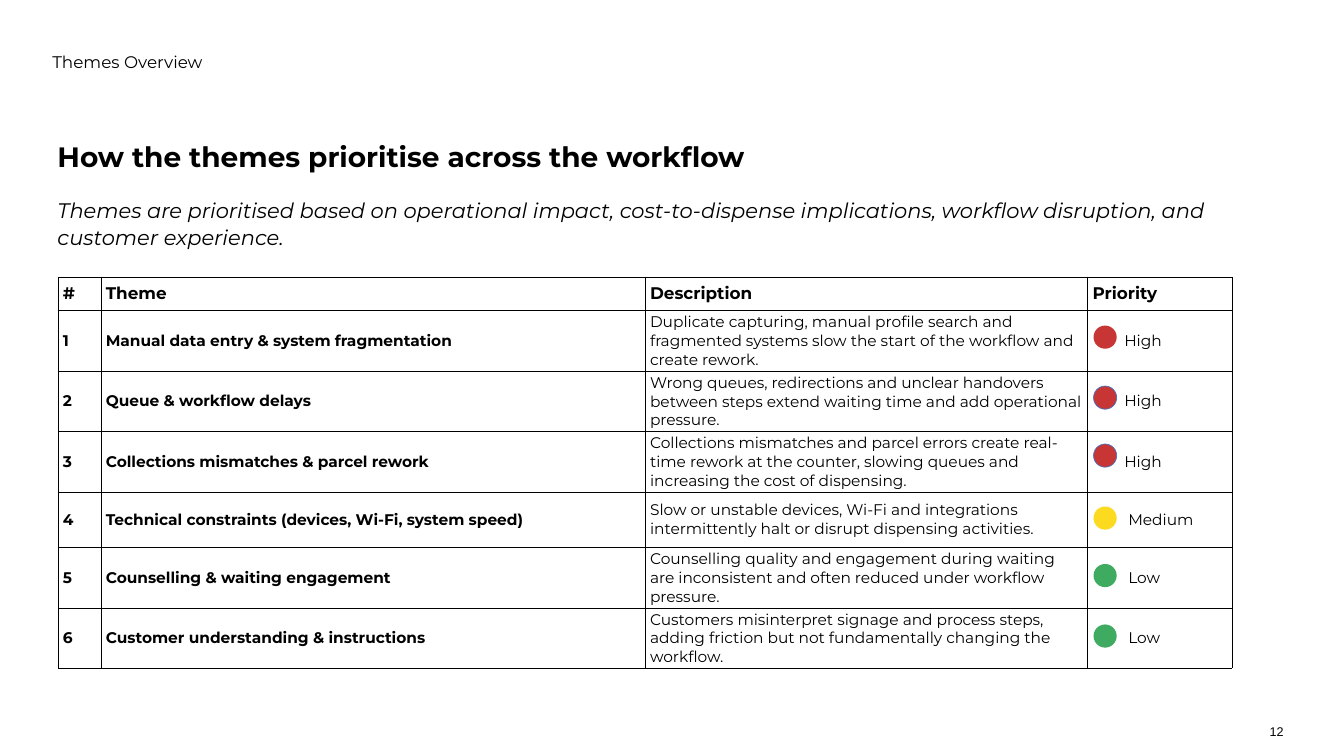
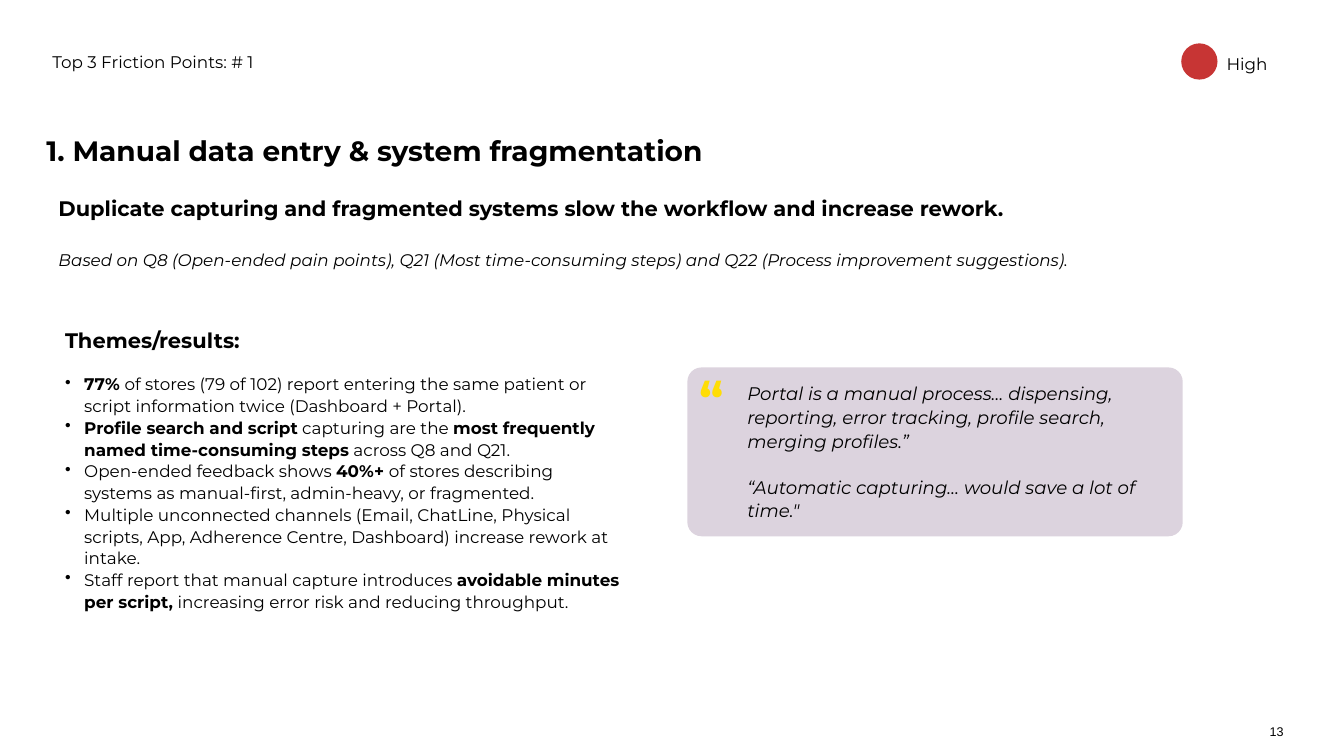
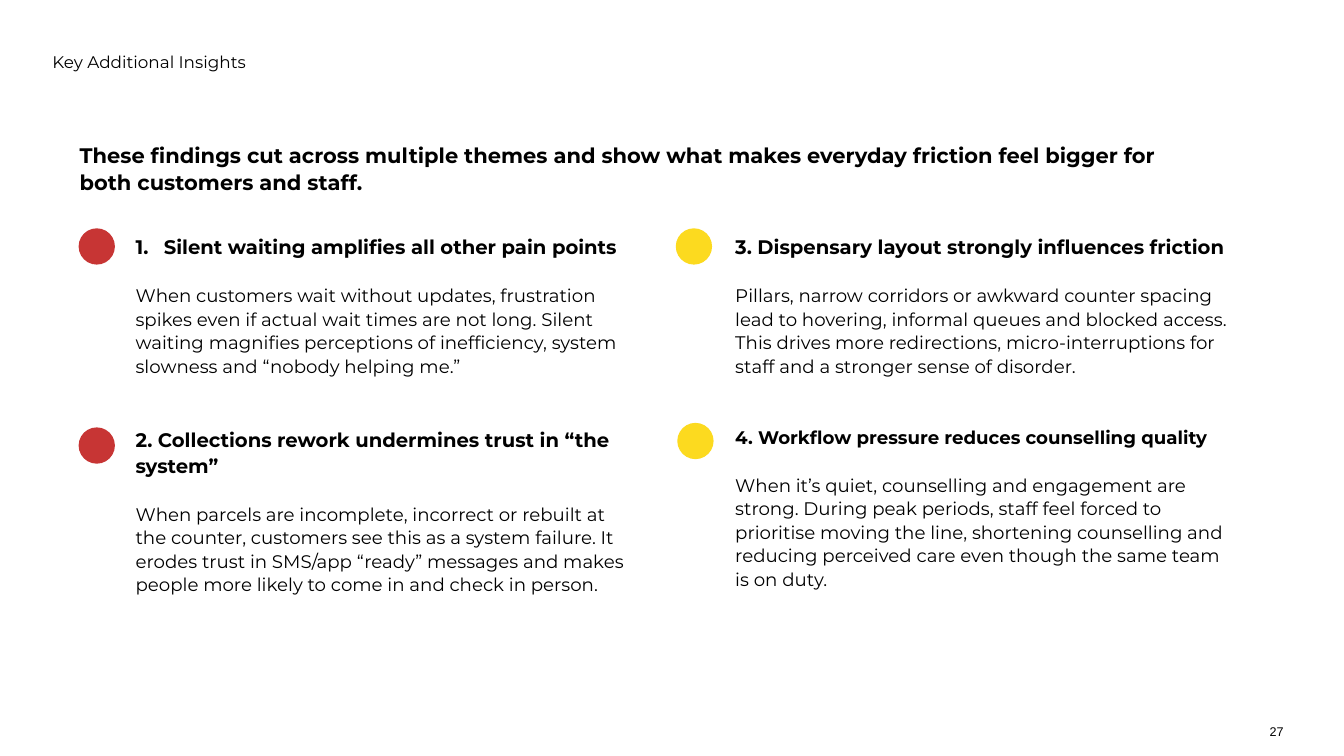
"""Build three slides on workflow themes, friction points and extra insights."""
from dataclasses import dataclass
from typing import NamedTuple

from lxml import etree
from pptx import Presentation
from pptx.dml.color import RGBColor
from pptx.enum.shapes import MSO_SHAPE
from pptx.enum.text import MSO_ANCHOR, PP_ALIGN
from pptx.oxml.ns import qn
from pptx.util import Inches, Pt

OVAL, ROUND = MSO_SHAPE.OVAL, MSO_SHAPE.ROUNDED_RECTANGLE
TOP, MIDDLE, BOTTOM = MSO_ANCHOR.TOP, MSO_ANCHOR.MIDDLE, MSO_ANCHOR.BOTTOM
LEFT, RIGHT = PP_ALIGN.LEFT, PP_ALIGN.RIGHT
HUES = {
    "ink": "000000", "card": "DCD3DE", "quote": "FFDD04", "ring": "4472C4",
    "High": "C73534", "Medium": "FCDA1F", "Low": "3EAB60",
}
FONT = "Montserrat"
LEAD = 1.08
WIDE, TIGHT, PLAIN, NONE = (0.2, 0.1), (0.06, 0.06), (0.1, 0.05), (0, 0)
DOT, BADGE = 0.46, 0.72


class Box(NamedTuple):
    left: float
    top: float
    width: float
    height: float


@dataclass
class Para:
    text: str
    size: float
    bold: bool = False
    italic: bool = False
    gap: float = 0
    mark: str = ""
    hang: float = 0
    hue: str = "ink"
    font: str = FONT
    align: PP_ALIGN = LEFT
    lead: float = LEAD


class Theme(NamedTuple):
    name: str
    about: str
    level: str
    dot: float
    ring: bool = False


class Badge(NamedTuple):
    left: float
    top: float
    level: str


THEMES = [
    Theme("Manual data entry & system fragmentation",
          "Duplicate capturing, manual profile search and fragmented systems slow "
          "the start of the workflow and create rework.", "High", 6.46),
    Theme("Queue & workflow delays",
          "Wrong queues, redirections and unclear handovers between steps extend "
          "waiting time and add operational pressure.", "High", 7.66, True),
    Theme("Collections mismatches & parcel rework",
          "Collections mismatches and parcel errors create real-time rework at the "
          "counter, slowing queues and increasing the cost of dispensing.",
          "High", 8.81, True),
    Theme("Technical constraints (devices, Wi-Fi, system speed)",
          "Slow or unstable devices, Wi-Fi and integrations intermittently halt or "
          "disrupt dispensing activities.", "Medium", 10.05),
    Theme("Counselling & waiting engagement",
          "Counselling quality and engagement during waiting are inconsistent and "
          "often reduced under workflow pressure.", "Low", 11.19),
    Theme("Customer understanding & instructions",
          "Customers misinterpret signage and process steps, adding friction but not "
          "fundamentally changing the workflow.", "Low", 12.39),
]
HEADS = ["#", "Theme", "Description", "Priority"]
COLS = [0.85, 10.8, 8.78, 2.86]
ROWS = [0.67] + [1.1] * len(THEMES)

RESULTS = [
    "**77% **of stores (79 of 102) report entering the same patient or script "
    "information twice (Dashboard + Portal).",
    "**Profile search and script** capturing are the **most frequently named "
    "time-consuming steps** across Q8 and Q21.",
    "Open-ended feedback shows **40%+ **of stores describing systems as "
    "manual-first, admin-heavy, or fragmented.",
    "Multiple unconnected channels (Email, ChatLine, Physical scripts, App, "
    "Adherence Centre, Dashboard) increase rework at intake.",
    "Staff report that manual capture introduces **avoidable minutes per script, "
    "**increasing error risk and reducing throughput.",
]

WAITING = [
    Para("Silent waiting amplifies all other pain points", 28, True, mark="1.", hang=0.56),
    Para("When customers wait without updates, frustration spikes even if actual wait "
         "times are not long. Silent waiting magnifies perceptions of inefficiency, "
         "system slowness and “nobody helping me.”", 26, gap=34),
    Para("2. Collections rework undermines trust in “the system”", 28, True, gap=71),
    Para("When parcels are incomplete, incorrect or rebuilt at the counter, customers "
         "see this as a system failure. It erodes trust in SMS/app “ready” messages "
         "and makes people more likely to come in and check in person.", 26, gap=34),
]
LAYOUT = [
    Para("3. Dispensary layout strongly influences friction", 28, True),
    Para("Pillars, narrow corridors or awkward counter spacing lead to hovering, "
         "informal queues and blocked access. This drives more redirections, "
         "micro-interruptions for staff and a stronger sense of disorder.", 26, gap=34),
    Para("4. Workflow pressure reduces counselling quality", 26, True, gap=68.5),
    Para("When it’s quiet, counselling and engagement are strong. During peak periods, "
         "staff feel forced to prioritise moving the line, shortening counselling and "
         "reducing perceived care even though the same team is on duty.", 26, gap=34),
]
BADGES = [
    Badge(1.56, 4.53, "High"), Badge(13.41, 4.53, "Medium"),
    Badge(13.44, 8.39, "Medium"), Badge(1.56, 8.48, "High"),
]


def tint(hue: str) -> RGBColor:
    return RGBColor.from_string(HUES[hue])


def place(box: Box) -> list:
    return [Inches(side) for side in box]


def add_mark(line, para: Para) -> None:
    props = line._p.get_or_add_pPr()
    props.set("marL", str(Inches(para.hang)))
    props.set("indent", str(-Inches(para.hang)))
    if para.mark == "1.":
        etree.SubElement(props, qn("a:buAutoNum"), type="arabicPeriod")
    else:
        etree.SubElement(props, qn("a:buChar"), char=para.mark)


def write(frame, paras: list[Para]) -> None:
    for spot, para in enumerate(paras):
        line = frame.add_paragraph() if spot else frame.paragraphs[0]
        line.alignment = para.align
        line.line_spacing = para.lead
        if para.gap:
            line.space_before = Pt(para.gap)
        if para.mark:
            add_mark(line, para)
        for part, text in enumerate(para.text.split("**")):
            if text:
                run = line.add_run()
                run.text = text
                font = run.font
                font.name, font.size = para.font, Pt(para.size)
                font.bold = para.bold or part % 2 == 1
                font.italic = para.italic
                font.color.rgb = tint(para.hue)


def add_text(shapes, box: Box, paras: list[Para], inset: tuple = WIDE,
             anchor: MSO_ANCHOR = TOP) -> None:
    frame = shapes.add_textbox(*place(box)).text_frame
    frame.word_wrap = True
    frame.vertical_anchor = anchor
    frame.margin_left = frame.margin_right = Inches(inset[0])
    frame.margin_top = frame.margin_bottom = Inches(inset[1])
    write(frame, paras)


def add_form(shapes, kind: MSO_SHAPE, box: Box, hue: str, ring: bool = False):
    form = shapes.add_shape(kind, *place(box))
    form.shadow.inherit = False
    form.fill.solid()
    form.fill.fore_color.rgb = tint(hue)
    if ring:
        form.line.color.rgb = tint("ring")
        form.line.width = Pt(1)
    else:
        form.line.fill.background()
    return form


def add_edges(cell) -> None:
    props = cell._tc.get_or_add_tcPr()
    for side in ("lnL", "lnR", "lnT", "lnB"):
        edge = etree.SubElement(props, qn(f"a:{side}"), w=str(Pt(0.25)))
        fill = etree.SubElement(edge, qn("a:solidFill"))
        etree.SubElement(fill, qn("a:srgbClr"), val=HUES["ink"])


def add_grid(shapes, left: float, top: float) -> None:
    box = Box(left, top, sum(COLS), sum(ROWS))
    grid = shapes.add_table(len(ROWS), len(COLS), *place(box)).table
    grid.first_row = grid.horz_banding = False
    for col, width in zip(grid.columns, COLS):
        col.width = Inches(width)
    for row, height in zip(grid.rows, ROWS):
        row.height = Inches(height)
    body = [[str(num), item.name, item.about, item.level]
            for num, item in enumerate(THEMES, 1)]
    for down, texts in enumerate([HEADS] + body):
        for across, text in enumerate(texts):
            cell = grid.cell(down, across)
            cell.vertical_anchor = MIDDLE
            add_edges(cell)
            cell.fill.background()
            if down and across == 3:
                cell.margin_left = Inches(0.73 if text == "High" else 0.81)
            bold = down == 0 or across < 2
            write(cell.text_frame, [Para(text, 22 if down else 24, bold, lead=1)])


def add_page(deck, label: str, num: int):
    shapes = deck.slides.add_slide(deck.slide_layouts[6]).shapes
    add_text(shapes, Box(24.76, 14.36, 0.71, 0.31),
             [Para(str(num), 18, font="Arial", align=RIGHT)], NONE, BOTTOM)
    add_text(shapes, Box(0.94, 0.94, 12.13, 0.52), [Para(label, 24)], PLAIN)
    return shapes


def show_themes(deck) -> None:
    shapes = add_page(deck, "Themes Overview", 12)
    add_text(shapes, Box(0.94, 2.61, 23.72, 2.91), [
        Para("How the themes prioritise across the workflow", 40, True),
        Para("Themes are prioritised based on operational impact, cost-to-dispense "
             "implications, workflow disruption, and customer experience.",
             30, italic=True, gap=32),
    ])
    add_grid(shapes, 1.15, 5.49)
    for item in THEMES:
        add_form(shapes, OVAL, Box(21.7, item.dot, DOT, DOT), item.level, item.ring)


def show_point(deck) -> None:
    shapes = add_page(deck, "Top 3 Friction Points: # 1", 13)
    add_text(shapes, Box(1.09, 6.36, 11.42, 6.95),
             [Para("Themes/results:", 30, True)]
             + [Para(text, 24, gap=0 if spot else 28, mark="•", hang=0.38)
                for spot, text in enumerate(RESULTS)])
    add_text(shapes, Box(0.86, 2.54, 15.57, 0.85),
             [Para("1. Manual data entry & system fragmentation", 40, True)],
             TIGHT, MIDDLE)
    card = shapes.add_group_shape().shapes
    panel = add_form(card, ROUND, Box(13.64, 7.29, 9.83, 3.35), "card")
    panel.adjustments[0] = 0.084
    add_text(card, Box(13.68, 7.12, 0.98, 2.24), [Para("“", 70, True, hue="quote")])
    add_text(shapes, Box(14.63, 7.46, 8.84, 3.06), [
        Para("Portal is a manual process… dispensing, reporting, error tracking, "
             "profile search, merging profiles.”", 26, italic=True),
        Para("“Automatic capturing… would save a lot of time.\"", 26,
             italic=True, gap=32),
    ])
    level = shapes.add_group_shape().shapes
    add_form(level, OVAL, Box(23.44, 0.86, BADGE, BADGE), "High")
    add_text(level, Box(24.28, 0.97, 1.63, 0.56), [Para("High", 24)], TIGHT, MIDDLE)
    add_text(shapes, Box(0.96, 3.74, 22.52, 2.73), [
        Para("Duplicate capturing and fragmented systems slow the workflow and "
             "increase rework.", 30, True),
        Para("Based on Q8 (Open-ended pain points), Q21 (Most time-consuming steps) "
             "and Q22 (Process improvement suggestions).", 24, italic=True, gap=39.5),
    ])


def show_more(deck) -> None:
    shapes = add_page(deck, "Key Additional Insights", 27)
    add_text(shapes, Box(2.49, 4.53, 10.31, 8.5), WAITING)
    add_text(shapes, Box(1.52, 2.71, 22.6, 1.22),
             [Para("These findings cut across multiple themes and show what makes "
                   "everyday friction feel bigger for both customers and staff.",
                   30, True)], TIGHT, MIDDLE)
    add_text(shapes, Box(14.39, 4.53, 10.31, 7.91), LAYOUT)
    for item in BADGES:
        add_form(shapes, OVAL, Box(item.left, item.top, BADGE, BADGE), item.level)


def main() -> None:
    deck = Presentation()
    deck.slide_width, deck.slide_height = Inches(26.67), Inches(15)
    show_themes(deck)
    show_point(deck)
    show_more(deck)
    deck.save("out.pptx")


if __name__ == "__main__":
    main()
